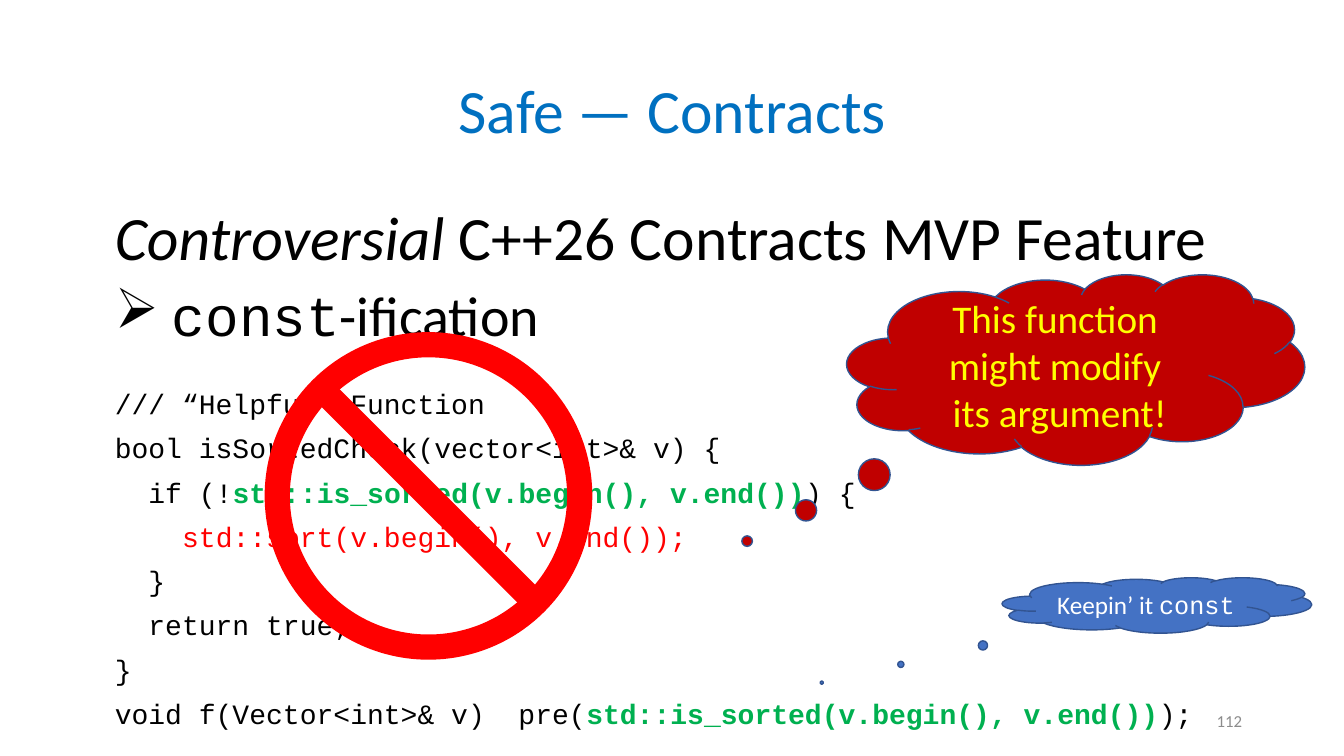
from typing import NamedTuple

from lxml import etree
from pptx import Presentation
from pptx.dml.color import RGBColor
from pptx.enum import shapes, text
from pptx.oxml import ns
from pptx.util import Inches, Pt

HUES = {
    "title": "0070C0", "black": "000000", "green": "00B050", "red": "FF0000",
    "wine": "C00000", "blue": "4472C4", "edge": "325491",
    "yellow": "FFFF00", "white": "FFFFFF", "gray": "8C8C8C",
}
SANS, MONO = "Calibri", "Courier New"


class Run(NamedTuple):
    words: str
    size: float
    hue: str = "black"
    face: str = SANS
    bold: bool = False
    slant: bool = False


class Para(NamedTuple):
    runs: list[Run]
    before: float = 0
    lines: float = 1.0
    align: text.PP_ALIGN = text.PP_ALIGN.LEFT
    bullet: str = ""


class Cloud(NamedTuple):
    left: float
    top: float
    width: float
    height: float
    tail: tuple[float, float]
    fill: str
    paras: list[Para]


def paint(hue: str) -> RGBColor:
    return RGBColor.from_string(HUES[hue])


def mark(para, sign: str) -> None:
    """Give the paragraph a hanging bullet."""
    props = para._p.get_or_add_pPr()
    props.set("marL", str(Inches(0.25)))
    props.set("indent", str(-Inches(0.25)))
    etree.SubElement(props, ns.qn("a:buChar")).set("char", sign)


def write(frame, paras: list[Para], anchor=text.MSO_ANCHOR.TOP) -> None:
    frame.word_wrap = True
    frame.auto_size = text.MSO_AUTO_SIZE.NONE
    frame.vertical_anchor = anchor
    for i, item in enumerate(paras):
        para = frame.add_paragraph() if i else frame.paragraphs[0]
        if item.bullet:
            mark(para, item.bullet)
        para.alignment = item.align
        para.line_spacing = item.lines
        para.space_before = Pt(item.before)
        for part in item.runs:
            run = para.add_run()
            run.text = part.words
            font = run.font
            font.size, font.name = Pt(part.size), part.face
            font.bold, font.italic = part.bold, part.slant
            font.color.rgb = paint(part.hue)


def code(words: str, hue: str = "black", bold: bool = False) -> Run:
    return Run(words, 20, hue, MONO, bold)


def row(*runs: Run, before: float = 10) -> Para:
    return Para(list(runs), before, 0.9)


def center(*runs: Run) -> Para:
    return Para(list(runs), align=text.PP_ALIGN.CENTER)


def add_cloud(slide, cloud: Cloud) -> None:
    box = [Inches(n) for n in cloud[:4]]
    shape = slide.shapes.add_shape(shapes.MSO_SHAPE.CLOUD_CALLOUT, *box)
    for i, shift in enumerate(cloud.tail):
        shape.adjustments[i] = shift
    shape.shadow.inherit = False
    shape.fill.solid()
    shape.fill.fore_color.rgb = paint(cloud.fill)
    shape.line.color.rgb = paint("edge")
    shape.line.width = Pt(1)
    write(shape.text_frame, cloud.paras, text.MSO_ANCHOR.MIDDLE)


def add_ban(slide) -> None:
    """Draw the ring and its slash as one group."""
    group = slide.shapes.add_group_shape().shapes
    ring = group.add_shape(shapes.MSO_SHAPE.OVAL, Inches(2.75), Inches(3.42),
                           Inches(3), Inches(3))
    ring.shadow.inherit = False
    ring.fill.background()
    slash = group.add_connector(shapes.MSO_CONNECTOR.STRAIGHT, Inches(3.19),
                                Inches(3.86), Inches(5.31), Inches(5.98))
    etree.SubElement(slash._element.spPr, ns.qn("a:effectLst"))
    for part in (ring, slash):
        part.line.color.rgb = paint("red")
        part.line.width = Pt(18)


def add_text(slide, box: tuple, paras: list[Para], anchor) -> None:
    area = slide.shapes.add_textbox(*[Inches(n) for n in box])
    write(area.text_frame, paras, anchor)


CHECK = code("std::is_sorted(v.begin(), v.end())", "green", True)
BODY = [
    row(Run("Controversial", 44, slant=True),
        Run(" C++26 Contracts MVP Feature", 44), before=0),
    Para([Run(" ", 40), Run("const", 40, face=MONO), Run("-ification", 40)],
         10, 0.9, bullet="➢"),
    row(code("/// “Helpful” Function"), before=30),
    row(code("bool isSortedCheck(vector<int>& v) {")),
    row(code("  if (!"), CHECK, code(") {")),
    row(code("    "), code("std::sort(v.begin(), v.end());", "red")),
    row(code("  }")),
    row(code("  return true;")),
    row(code("}")),
    row(code("void f(Vector<int>& v)  pre("), CHECK, code(");")),
]
WARNING = ("This function ", "might modify ", "its argument!")
CLOUDS = [
    Cloud(8.4, 2.72, 4.54, 1.89, (-0.718, 0.901), "wine",
          [center(Run(words, 28, "yellow")) for words in WARNING]),
    Cloud(9.94, 5.73, 3.07, 0.55, (-1.083, 1.395), "blue",
          [center(Run("Keepin’ it ", 18, "white"),
                  Run("const", 18, "white", MONO))]),
]


def main() -> None:
    deck = Presentation()
    deck.slide_width, deck.slide_height = Inches(13.33), Inches(7.5)
    slide = deck.slides.add_slide(deck.slide_layouts[5])
    title = slide.shapes.title
    title.left, title.top = Inches(0.92), Inches(0.4)
    title.width, title.height = Inches(11.5), Inches(1.45)
    write(title.text_frame,
          [Para([Run("Safe — Contracts", 44, "title")], 0, 0.9,
                text.PP_ALIGN.CENTER)], text.MSO_ANCHOR.MIDDLE)
    add_text(slide, (1.04, 2.01, 11.64, 5.49), BODY, text.MSO_ANCHOR.TOP)
    add_ban(slide)
    for cloud in CLOUDS:
        add_cloud(slide, cloud)
    add_text(slide, (9.42, 6.95, 3, 0.4),
             [Para([Run("112", 12, "gray")], align=text.PP_ALIGN.RIGHT)],
             text.MSO_ANCHOR.MIDDLE)
    deck.save("out.pptx")


if __name__ == "__main__":
    main()
